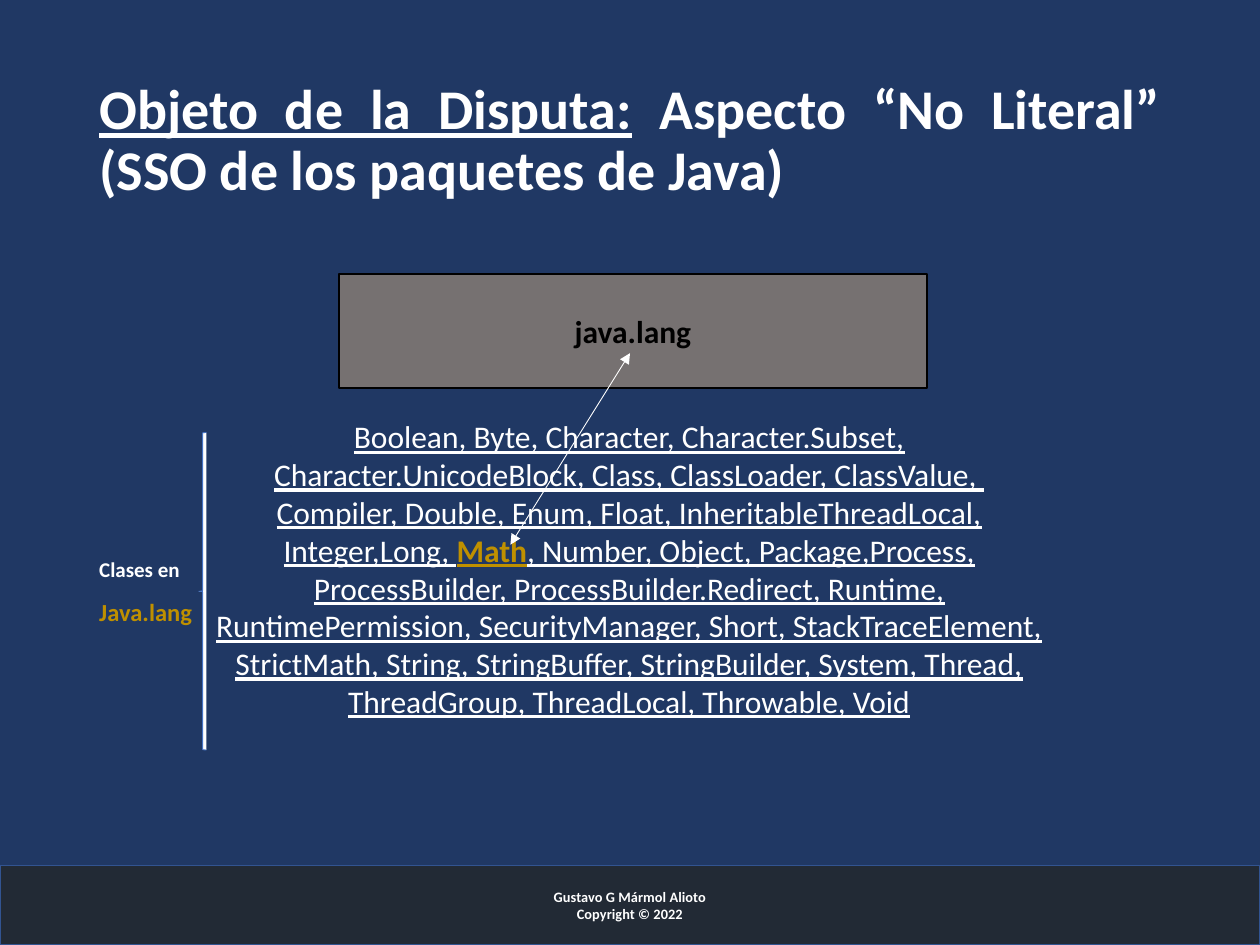
from pptx import Presentation
from pptx.dml.color import RGBColor as RGB
from pptx.enum.shapes import MSO_CONNECTOR as Link, MSO_SHAPE as Kind
from pptx.enum.text import MSO_ANCHOR as Anchor, PP_ALIGN as Align
from pptx.oxml.ns import qn
from pptx.util import Cm, Pt
from lxml.etree import SubElement as Sub

NAVY = RGB(0x20, 0x38, 0x64)
WHITE = RGB(0xFF, 0xFF, 0xFF)
BLACK = RGB(0, 0, 0)
GOLD = RGB(0xBF, 0x90, 0x00)
GREY = RGB(0x76, 0x71, 0x71)
DARK = RGB(0x22, 0x2A, 0x35)
EDGE = RGB(0x32, 0x54, 0x91)
BLUE = RGB(0x44, 0x72, 0xC4)

BEFORE = (
    "Boolean, Byte, Character, Character.Subset, Character.UnicodeBlock, "
    "Class, ClassLoader, ClassValue,  Compiler, Double, Enum, Float, "
    "InheritableThreadLocal, Integer,Long, "
)
AFTER = (
    ", Number, Object, Package,Process, ProcessBuilder, "
    "ProcessBuilder.Redirect, Runtime, RuntimePermission, SecurityManager, "
    "Short, StackTraceElement, StrictMath, String, StringBuffer, "
    "StringBuilder, System, Thread, ThreadGroup, ThreadLocal, Throwable, Void"
)


def add_run(para, text, size, color=WHITE, bold=True, under=False):
    run = para.add_run()
    run.text = text
    font = run.font
    font.name, font.size, font.bold = "Calibri", Pt(size), bold
    font.underline = under
    font.color.rgb = color


def add_text(slide, x, y, w, h, anchor=Anchor.TOP):
    box = slide.shapes.add_textbox(Cm(x), Cm(y), Cm(w), Cm(h))
    frame = box.text_frame
    frame.word_wrap = True
    frame.vertical_anchor = anchor
    return frame


def add_block(slide, kind, x, y, w, h, fill, edge, width=1):
    block = slide.shapes.add_shape(kind, Cm(x), Cm(y), Cm(w), Cm(h))
    block.shadow.inherit = False
    block.fill.solid()
    block.fill.fore_color.rgb = fill
    block.line.color.rgb = edge
    block.line.width = Pt(width)
    return block


def add_lines(frame, lines, size, color):
    """Centred bold lines in the middle of a block."""
    frame.vertical_anchor = Anchor.MIDDLE
    for i, line in enumerate(lines):
        para = frame.paragraphs[0] if i == 0 else frame.add_paragraph()
        para.alignment = Align.CENTER
        add_run(para, line, size, color)


def add_title(slide, x, y, w, h):
    para = add_text(slide, x, y, w, h, Anchor.MIDDLE).paragraphs[0]
    para.alignment = Align.JUSTIFY
    para.line_spacing = 0.9
    add_run(para, "Objeto de la Disputa:", 32, under=True)
    add_run(para, " Aspecto “No Literal” (SSO de los paquetes de Java)", 32)


def add_arrow(slide, x1, y1, x2, y2):
    arrow = slide.shapes.add_connector(
        Link.STRAIGHT, Cm(x1), Cm(y1), Cm(x2), Cm(y2))
    arrow.line.color.rgb = WHITE
    arrow.line.width = Pt(0.5)
    line = arrow.line._get_or_add_ln()
    for end in ("a:headEnd", "a:tailEnd"):
        Sub(line, qn(end), type="triangle")
    Sub(arrow._element.spPr, qn("a:effectLst"))


def add_scheme(slide, x, y, w, h):
    # Package
    pack = add_block(slide, Kind.RECTANGLE, x + 5.08, y, 11.86, 2.31,
                     GREY, BLACK)
    add_lines(pack.text_frame, ["java.lang"], 18, BLACK)

    # Label of the classes
    frame = add_text(slide, x, y + 5.64, 2.6, 1.5)
    for text, size, color in (("Clases en", 12, WHITE),
                              ("Java.lang", 14, GOLD)):
        para = frame.paragraphs[0] if size == 12 else frame.add_paragraph()
        para.line_spacing = 0.9
        para.space_before = Pt(0 if size == 12 else 10)
        add_run(para, text, size, color)

    # Classes
    left = x + 2.26
    para = add_text(slide, left, y + 2.77, w - 4.55, 6.4).paragraphs[0]
    para.alignment = Align.CENTER
    add_run(para, BEFORE, 18, bold=False, under=True)
    add_run(para, "Math", 18, GOLD, under=True)
    add_run(para, AFTER, 18, bold=False, under=True)

    # Arrow from Math to the package, and brace
    add_arrow(slide, x + 8.54, y + 5.46, x + 10.95, y + 1.6)
    add_block(slide, Kind.LEFT_BRACE, left, y + 3.2, 0.15, h - 3.2,
              WHITE, BLUE, 0.5)


def add_footer(slide, x, y, w, h):
    bar = add_block(slide, Kind.RECTANGLE, x, y, w, h, DARK, EDGE)
    add_lines(bar.text_frame,
              ["Gustavo G Mármol Alioto", "Copyright © 2022"], 8.25, WHITE)


def main():
    deck = Presentation()
    deck.slide_width, deck.slide_height = Cm(25.4), Cm(19.05)
    slide = deck.slides.add_slide(deck.slide_layouts[6])
    slide.background.fill.solid()
    slide.background.fill.fore_color.rgb = NAVY
    add_title(slide, 1.75, 1.02, 21.9, 3.68)
    add_footer(slide, 0, 17.45, 25.4, 1.6)
    add_scheme(slide, 1.75, 5.52, 21.9, 9.6)
    deck.save("out.pptx")


if __name__ == "__main__":
    main()
